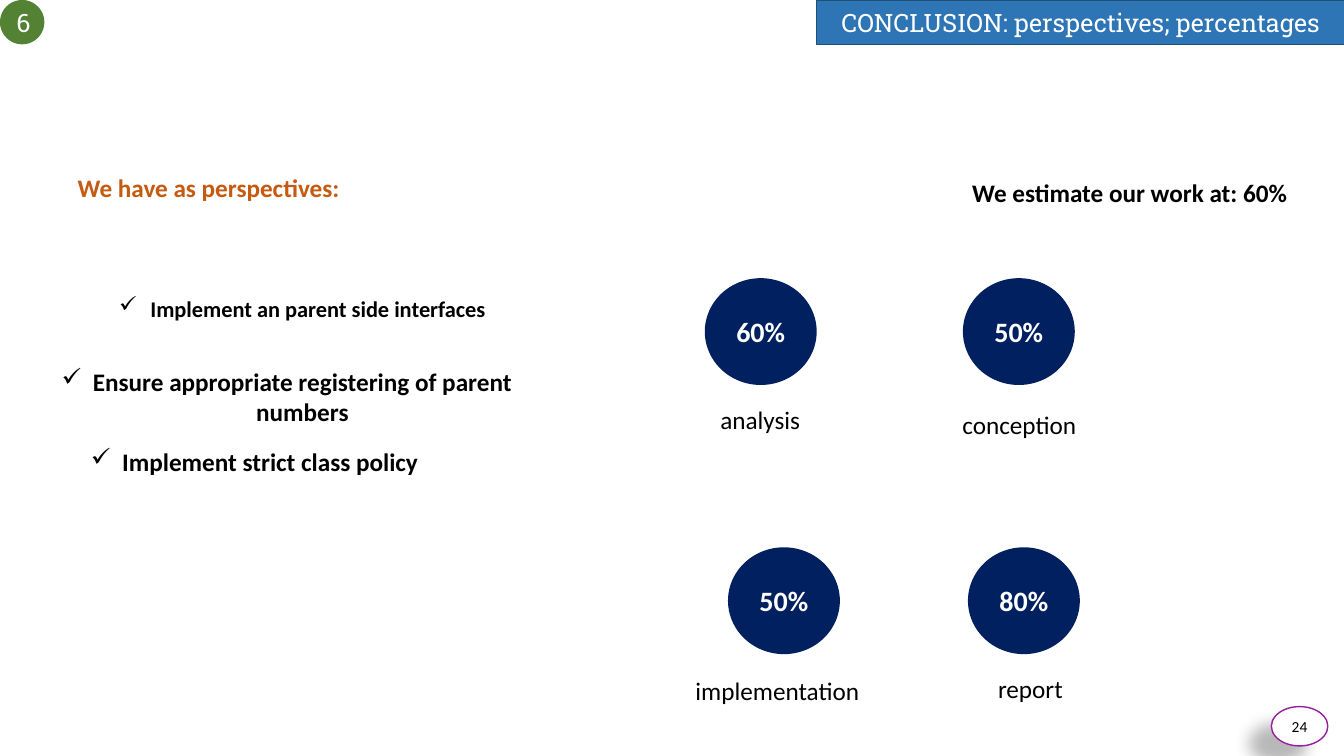
from lxml.etree import SubElement
from pptx import Presentation
from pptx.dml.color import RGBColor
from pptx.enum.shapes import MSO_SHAPE
from pptx.enum.text import MSO_ANCHOR, MSO_AUTO_SIZE, PP_ALIGN
from pptx.oxml.ns import qn
from pptx.util import Pt

PX = 9144  # 100 px to the inch
COLORS = {
    "white": "FFFFFF", "black": "000000", "blue": "2E75B6", "blue_edge": "1F4E79",
    "green": "548235", "navy": "002060", "orange": "C55A11", "purple": "971E9E",
}


def write(shape, text, size=18, color="black", bold=False, font="Calibri"):
    frame = shape.text_frame
    frame.word_wrap = True
    frame.auto_size = MSO_AUTO_SIZE.NONE
    frame.vertical_anchor = MSO_ANCHOR.MIDDLE
    para = frame.paragraphs[0]
    para.alignment = PP_ALIGN.CENTER
    span = para.add_run()
    span.text = text
    span.font.name = font
    span.font.size = Pt(size)
    span.font.bold = bold
    span.font.color.rgb = RGBColor.from_string(COLORS[color])
    return para


def paint(shape, fill, line=None):
    shape.fill.solid()
    shape.fill.fore_color.rgb = RGBColor.from_string(COLORS[fill])
    if line:
        shape.line.color.rgb = RGBColor.from_string(COLORS[line])
        shape.line.width = Pt(1)
    else:
        shape.line.fill.background()


deck = Presentation()
deck.slide_width, deck.slide_height = 1333 * PX, 750 * PX
page = deck.slides.add_slide(deck.slide_layouts[5])
shapes = page.shapes

# Title in a rounded banner
title = shapes.title
title.left, title.top, title.width, title.height = 810 * PX, 0, 524 * PX, 44 * PX
outline = SubElement(title.element.spPr, qn("a:prstGeom"), prst="roundRect")
guides = SubElement(outline, qn("a:avLst"))
SubElement(guides, qn("a:gd"), name="adj", fmla="val 32500")
paint(title, "blue", "blue_edge")
write(title, "CONCLUSION: perspectives; percentages", color="white", font="Roboto Slab")

# Section number
section = shapes.add_shape(MSO_SHAPE.OVAL, 0, 0, 44 * PX, 44 * PX)
section.shadow.inherit = False
paint(section, "green")
write(section, "6", color="white", font="Roboto Slab")

# Column headings
headings = [
    ("We have as perspectives:", 17, 163, 380, 45, "orange"),
    ("We estimate our work at: 60%", 938, 147, 365, 88, "black"),
]
for text, left, top, width, height, color in headings:
    box = shapes.add_textbox(left * PX, top * PX, width * PX, height * PX)
    write(box, text, color=color, bold=True)

# Perspectives with check marks
perspectives = [
    ("Implement an parent side interfaces ", 43, 263, 86, 16),
    ("Ensure appropriate registering of parent numbers", 25, 359, 68, 18),
    ("Implement strict class policy", -7, 424, 68, 18),
]
for text, left, top, height, size in perspectives:
    box = shapes.add_textbox(left * PX, top * PX, 519 * PX, height * PX)
    para = write(box, text, size, bold=True)
    props = para._p.get_or_add_pPr()
    props.set("marL", str(31 * PX))
    props.set("indent", str(-31 * PX))
    SubElement(props, qn("a:buChar"), char="✓")

# Progress circles, each with a label below
progress = [
    ("60%", 699, 276, "analysis", 692, 398, 124, 37),
    ("50%", 955, 276, "conception", 938, 403, 146, 37),
    ("50%", 722, 543, "implementation", 662, 664, 218, 42),
    ("80%", 960, 543, "report", 960, 664, 124, 37),
]
for share, x, y, label, left, top, width, height in progress:
    circle = shapes.add_shape(MSO_SHAPE.OVAL, x * PX, y * PX, 111 * PX, 106 * PX)
    circle.shadow.inherit = False
    paint(circle, "navy")
    write(circle, share, 20, "white", bold=True)
    box = shapes.add_textbox(left * PX, top * PX, width * PX, height * PX)
    write(box, label)

# Page number with a soft shadow to the lower left
badge = shapes.add_shape(MSO_SHAPE.OVAL, 1261 * PX, 701 * PX, 56 * PX, 39 * PX)
paint(badge, "white", "purple")
para = write(badge, "24", 11)
badge.text_frame.margin_left = badge.text_frame.margin_right = 0
effects = SubElement(badge.element.spPr, qn("a:effectLst"))
shadow = SubElement(effects, qn("a:outerShdw"), blurRad=str(Pt(11.8)),
                    dist=str(Pt(19.7)), dir=str(141 * 60000), rotWithShape="0")
shade = SubElement(shadow, qn("a:srgbClr"), val=COLORS["black"])
SubElement(shade, qn("a:alpha"), val="28000")

deck.save("out.pptx")
